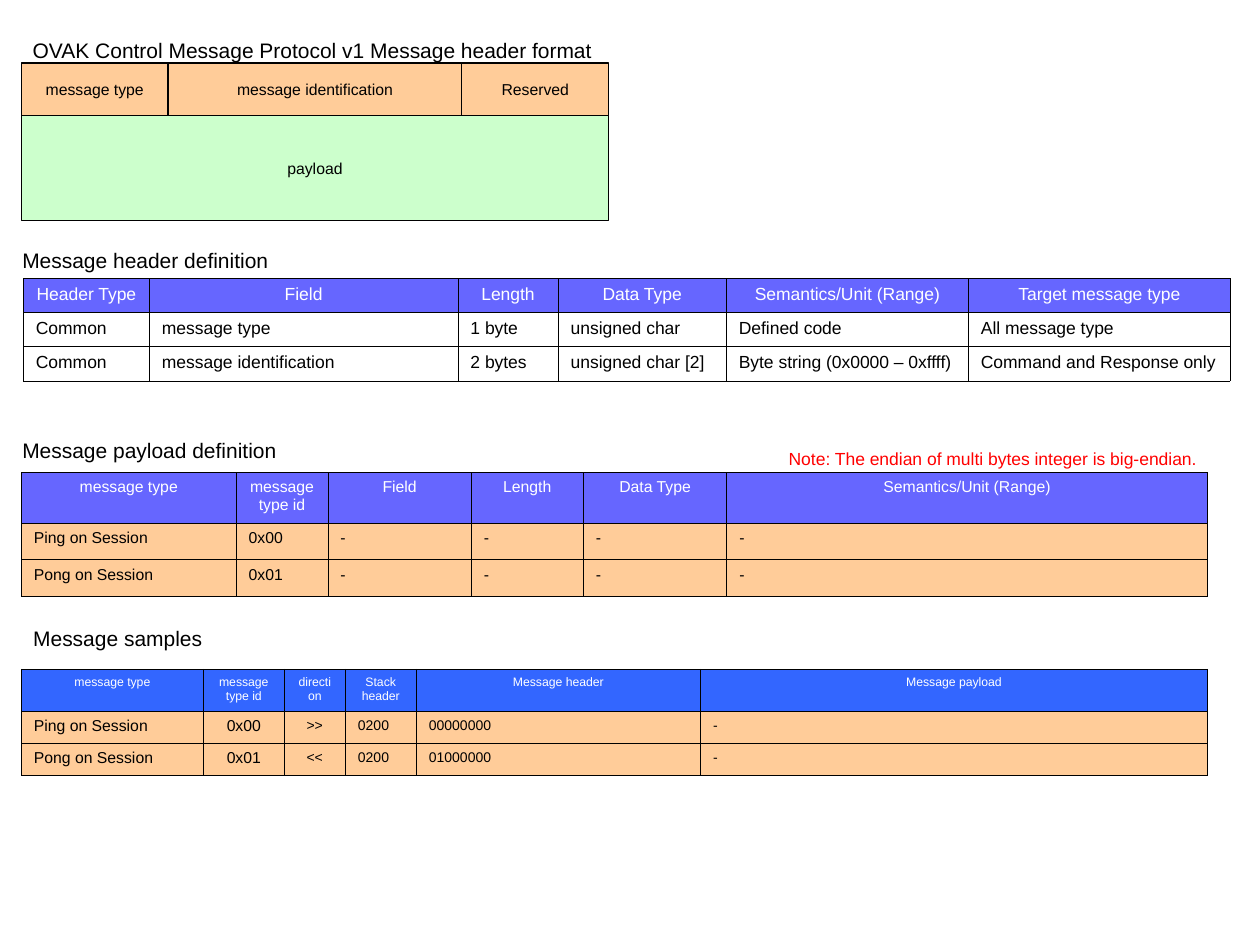
"""Build the slide describing the control message protocol header, payload and samples."""
from itertools import accumulate

from lxml.etree import fromstring
from pptx import Presentation
from pptx.dml.color import RGBColor
from pptx.enum.shapes import MSO_SHAPE as Shape
from pptx.enum.text import MSO_ANCHOR as Anchor, MSO_AUTO_SIZE as AutoSize, PP_ALIGN as Align
from pptx.util import Cm, Pt

FONT = "Arial"
COLORS = {
    "black": "000000", "white": "FFFFFF", "red": "FF0000", "orange": "FFCC99",
    "green": "CCFFCC", "violet": "6666FF", "blue": "3366FF",
}
BORDER = (
    '<a:{side} xmlns:a="http://schemas.openxmlformats.org/drawingml/2006/main" w="4318">'
    '<a:solidFill><a:srgbClr val="{color}"/></a:solidFill></a:{side}>'
)

PACKET = {"left": 0.43, "top": 1.27, "unit": 2.96, "row": 1.06}
PACKET_FIELDS = [("message type", 1), ("message identification", 2), ("Reserved", 1)]

LABELS = [
    ("OVAK Control Message Protocol v1 Message header format", 0.41, 0.64, 12.2, 0.76, 12, "black"),
    ("Message header definition", 0.2, 4.87, 5.7, 0.76, 12, "black"),
    ("Message payload definition", 0.2, 8.69, 5.9, 0.76, 12, "black"),
    ("Note: The endian of multi bytes integer is big-endian.", 15.65, 8.9, 8.9, 0.69, 10, "red"),
    ("Message samples", 0.42, 12.49, 4.2, 0.76, 12, "black"),
]

TABLES = [
    {
        "left": 0.47, "top": 5.61, "header_fill": "violet", "body_fill": None,
        "columns": [2.54, 6.22, 2.02, 3.39, 4.88, 5.28], "rows": [0.69, 0.69, 0.69],
        "header_size": 10, "body_sizes": [10] * 6, "centered": [],
        "cells": [
            ["Header Type", "Field", "Length", "Data Type", "Semantics/Unit (Range)",
             "Target message type"],
            ["Common", "message type", "1 byte", "unsigned char", "Defined code",
             "All message type"],
            ["Common", "message identification", "2 bytes", "unsigned char [2]",
             "Byte string (0x0000 – 0xffff)", "Command and Response only"],
        ],
    },
    {
        "left": 0.43, "top": 9.52, "header_fill": "violet", "body_fill": "orange",
        "columns": [4.33, 1.85, 2.89, 2.26, 2.89, 9.69], "rows": [1.02, 0.74, 0.74],
        "header_size": 9, "body_sizes": [9] * 6, "centered": [],
        "cells": [
            ["message type", "message type id", "Field", "Length", "Data Type",
             "Semantics/Unit (Range)"],
            ["Ping on Session", "0x00", "-", "-", "-", "-"],
            ["Pong on Session", "0x01", "-", "-", "-", "-"],
        ],
    },
    {
        "left": 0.43, "top": 13.49, "header_fill": "blue", "body_fill": "orange",
        "columns": [3.67, 1.63, 1.23, 1.43, 5.73, 10.22], "rows": [0.85, 0.64, 0.64],
        "header_size": 7, "body_sizes": [9, 9, 8, 8, 8, 8], "centered": [1, 2],
        "cells": [
            ["message type", "message type id", "direction", "Stack header", "Message header",
             "Message payload"],
            ["Ping on Session", "0x00", ">>", "0200", "00000000", "-"],
            ["Pong on Session", "0x01", "<<", "0200", "01000000", "-"],
        ],
    },
]


def rgb(name):
    return RGBColor.from_string(COLORS[name])


def write(text_frame, text, size, color, align=Align.LEFT):
    text_frame.text = text
    paragraph = text_frame.paragraphs[0]
    paragraph.alignment = align
    for run in paragraph.runs:
        run.font.name = FONT
        run.font.size = Pt(size)
        run.font.color.rgb = rgb(color)
    return paragraph


def paint(fill, color):
    if color:
        fill.solid()
        fill.fore_color.rgb = rgb(color)
    else:
        fill.background()


def add_box(slide, text, left, top, width, height, color):
    shape = slide.shapes.add_shape(Shape.RECTANGLE, Cm(left), Cm(top), Cm(width), Cm(height))
    shape.shadow.inherit = False
    paint(shape.fill, color)
    shape.line.color.rgb = rgb("black")
    shape.line.width = Pt(0.75)
    shape.text_frame.word_wrap = False
    shape.text_frame.vertical_anchor = Anchor.MIDDLE
    write(shape.text_frame, text, 9, "black", Align.CENTER)


def add_packet(slide):
    left, top, unit, row = PACKET.values()
    starts = [0, *accumulate(units for _, units in PACKET_FIELDS)]
    for (text, units), start in zip(PACKET_FIELDS, starts):
        add_box(slide, text, left + start * unit, top, units * unit, row, "orange")
    add_box(slide, "payload", left, top + row, starts[-1] * unit, 2 * row, "green")


def add_label(slide, text, left, top, width, height, size, color):
    text_frame = slide.shapes.add_textbox(Cm(left), Cm(top), Cm(width), Cm(height)).text_frame
    text_frame.word_wrap = True
    text_frame.auto_size = AutoSize.NONE
    write(text_frame, text, size, color)


def add_borders(cell):
    properties = cell._tc.get_or_add_tcPr()
    for position, side in enumerate(("lnL", "lnR", "lnT", "lnB")):
        border = fromstring(BORDER.format(side=side, color=COLORS["black"]))
        properties.insert(position, border)


def add_grid(slide, data):
    columns, rows = data["columns"], data["rows"]
    table = slide.shapes.add_table(
        len(rows), len(columns), Cm(data["left"]), Cm(data["top"]), Cm(sum(columns)), Cm(sum(rows))
    ).table
    table.first_row = table.horz_banding = False
    for column, width in zip(table.columns, columns):
        column.width = Cm(width)
    for row_index, (row, height) in enumerate(zip(table.rows, rows)):
        row.height = Cm(height)
        is_header = row_index == 0
        for column_index, cell in enumerate(row.cells):
            size = data["header_size"] if is_header else data["body_sizes"][column_index]
            centered = is_header or column_index in data["centered"]
            paragraph = write(
                cell.text_frame, data["cells"][row_index][column_index], size,
                "white" if is_header else "black", Align.CENTER if centered else Align.LEFT,
            )
            paragraph.space_before = Pt(size / 4)
            paint(cell.fill, data["header_fill"] if is_header else data["body_fill"])
            add_borders(cell)


def main():
    presentation = Presentation()
    presentation.slide_width, presentation.slide_height = Cm(25.4), Cm(19.05)
    slide = presentation.slides.add_slide(presentation.slide_layouts[6])
    add_packet(slide)
    for label in LABELS:
        add_label(slide, *label)
    for data in TABLES:
        add_grid(slide, data)
    presentation.save("out.pptx")


if __name__ == "__main__":
    main()
